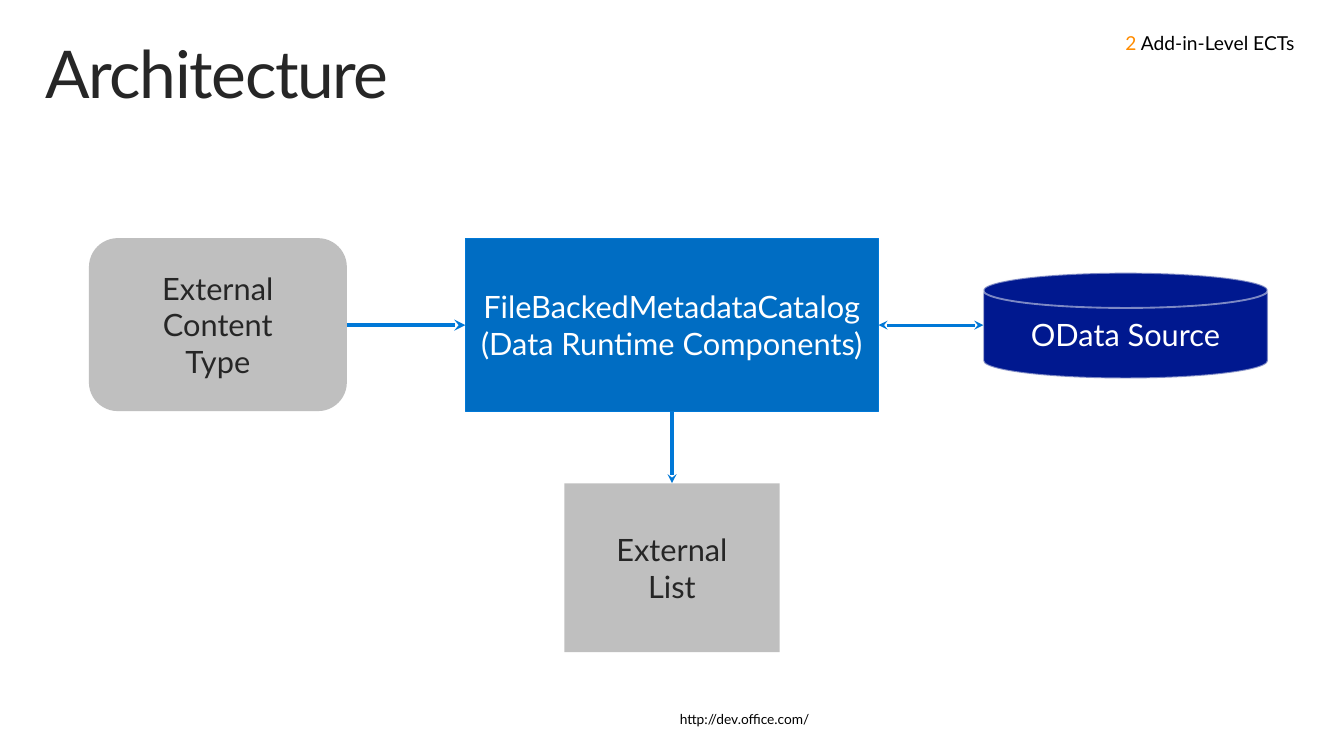
"""Build the Architecture slide: a catalog linked to its type, list and data source."""
from lxml import etree
from pptx import Presentation, util as u
from pptx.dml.color import RGBColor
from pptx.enum import shapes as s, text as t
from pptx.oxml.ns import qn

PX = 9144
HUES = {
    "ink": "262626", "black": "000000", "white": "FFFFFF", "orange": "FF8C00",
    "gray": "BFBFBF", "blue": "006DC3", "edge": "0078D7", "navy": "00188F", "rim": "F9F9F9",
}
KIND = s.MSO_SHAPE
LEFT, MID, RIGHT = t.PP_ALIGN.LEFT, t.PP_ALIGN.CENTER, t.PP_ALIGN.RIGHT
TOP, CORE = t.MSO_ANCHOR.TOP, t.MSO_ANCHOR.MIDDLE


def hue(name):
    return RGBColor.from_string(HUES[name])


def write(frame, runs, size, align, anchor, pads, lead=1.0, wrap=True):
    form = {"word_wrap": wrap, "vertical_anchor": anchor, "auto_size": t.MSO_AUTO_SIZE.NONE}
    sides = ("margin_left", "margin_top", "margin_right", "margin_bottom")
    form.update(zip(sides, (pad * PX for pad in pads)))
    for key, val in form.items():
        setattr(frame, key, val)
    para = frame.paragraphs[0]
    para.alignment, para.line_spacing = align, lead
    for words, color in runs:
        for i, line in enumerate(words.split("\n")):
            if i:
                para.add_line_break()
            run = para.add_run()
            run.text = line
            for key, val in {"name": "Lato", "size": u.Pt(size)}.items():
                setattr(run.font, key, val)
            run.font.color.rgb = hue(color)
    return para


deck = Presentation()
deck.slide_width, deck.slide_height = 1360 * PX, 765 * PX
slide = deck.slides.add_slide(deck.slide_layouts[5])

title = slide.shapes.title
for key, val in {"left": 30, "top": 32, "width": 1300, "height": 100}.items():
    setattr(title, key, val * PX)
wide = (16, 10, 16, 10)
head = write(title.text_frame, [("Architecture", "ink")], 48, LEFT, TOP, wide, 0.9)
head.runs[0].font.size = u.Pt(48)
head.runs[0]._r.get_or_add_rPr().set("spc", "-100")

notes = [
    ((672, 711, 166, 35), [("http://dev.office.com/", "black")], 10, LEFT, wide, 0.9, False),
    ((871, 32, 459, 41), [("2", "orange"), (" Add-in-Level ECTs", "black")],
     14, RIGHT, (10, 0, 20, 5), 1.0, True),
]
for box, runs, size, align, pads, lead, wrap in notes:
    note = slide.shapes.add_textbox(*(n * PX for n in box))
    write(note.text_frame, runs, size, align, TOP, pads, lead, wrap)

nodes = [
    ("source", KIND.FLOWCHART_MAGNETIC_DISK, (995, 276, 288, 107),
     "OData Source", "navy", "white", ("rim", 1.35)),
    ("catalog", KIND.RECTANGLE, (471, 241, 418, 175),
     "FileBackedMetadataCatalog\n(Data Runtime Components)", "blue", "white", ("edge", 0.75)),
    ("type", KIND.FLOWCHART_ALTERNATE_PROCESS, (90, 241, 261, 175),
     "External\nContent\nType", "gray", "ink", None),
    ("list", KIND.RECTANGLE, (571, 489, 218, 171), "External\nList", "gray", "ink", None),
]
made = {}
for name, kind, box, words, fill, ink, rim in nodes:
    node = made[name] = slide.shapes.add_shape(kind, *(n * PX for n in box))
    node.shadow.inherit = False
    node.fill.solid()
    node.fill.fore_color.rgb = hue(fill)
    if rim:
        node.line.color.rgb, node.line.width = hue(rim[0]), u.Pt(rim[1])
    else:
        node.line.fill.background()
    write(node.text_frame, [(words, ink)], 22.4, MID, CORE, (5, 5, 5, 5))

tint = made["source"].line._get_or_add_ln().find(".//" + qn("a:srgbClr"))
etree.SubElement(tint, qn("a:alpha"), val="50000")

links = [
    ("type", 3, "catalog", 1, (351, 329, 471, 329), 2.75, ["tailEnd"]),
    ("catalog", 2, "list", 0, (680, 416, 680, 489), 2.25, ["tailEnd"]),
    ("catalog", 3, "source", 2, (889, 329, 995, 329), 2.25, ["headEnd", "tailEnd"]),
]
for start, out, stop, into, ends, width, tips in links:
    link = slide.shapes.add_connector(s.MSO_CONNECTOR.STRAIGHT, 0, 0, 0, 0)
    link.begin_connect(made[start], out)
    link.end_connect(made[stop], into)
    for key, val in zip(("begin_x", "begin_y", "end_x", "end_y"), ends):
        setattr(link, key, val * PX)
    link.line.color.rgb, link.line.width = hue("edge"), u.Pt(width)
    for tip in tips:
        etree.SubElement(link.line._get_or_add_ln(), qn("a:" + tip), type="stealth")
    etree.SubElement(link._element.spPr, qn("a:effectLst"))

deck.save("out.pptx")
